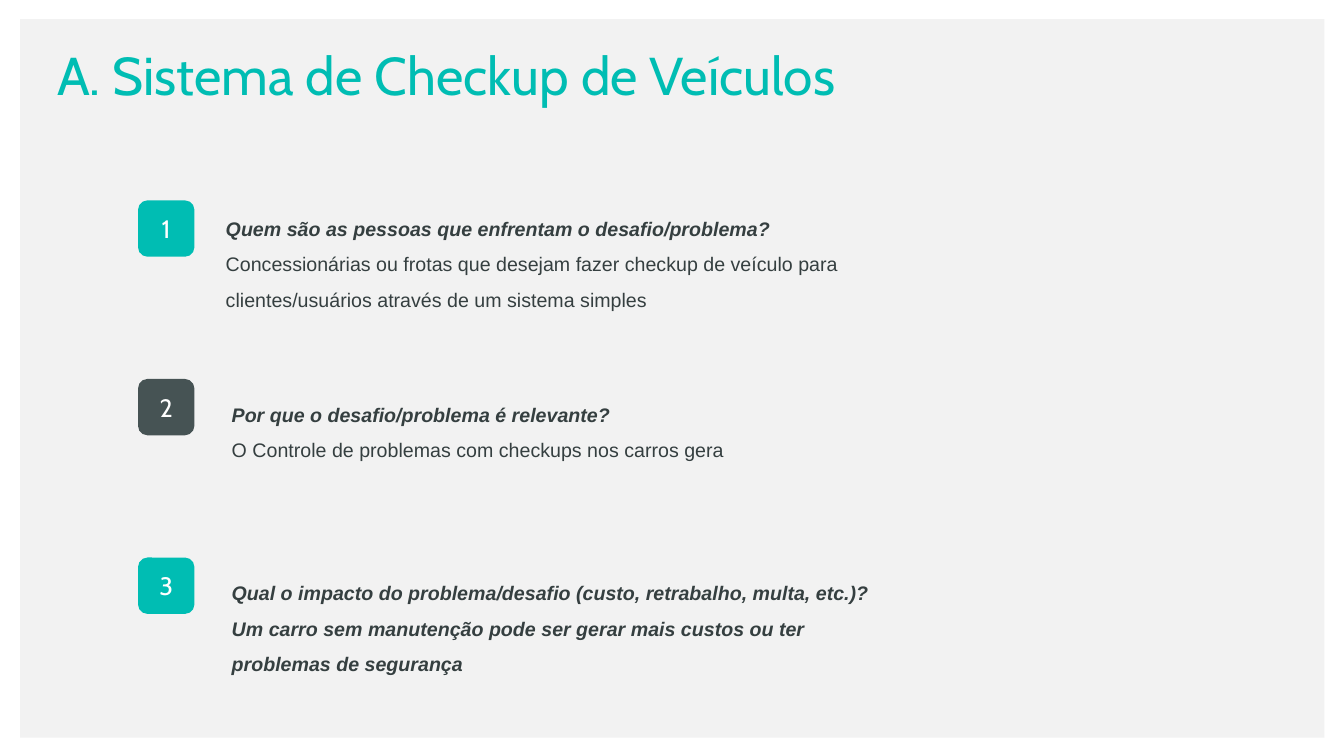
from dataclasses import dataclass

from pptx import Presentation
from pptx.dml.color import RGBColor
from pptx.enum.shapes import MSO_SHAPE as Preset
from pptx.enum.text import MSO_ANCHOR as Anchor, PP_ALIGN as Align
from pptx.util import Cm, Pt


@dataclass(frozen=True)
class Theme:
    """Colours, fonts and type sizes of the slide."""

    panel: RGBColor = RGBColor(0xF2, 0xF2, 0xF2)
    teal: RGBColor = RGBColor(0x00, 0xBD, 0xB3)
    slate: RGBColor = RGBColor(0x46, 0x53, 0x54)
    body: RGBColor = RGBColor(0x35, 0x3F, 0x40)
    white: RGBColor = RGBColor(0xFF, 0xFF, 0xFF)
    display_font: str = "Cabin"
    body_font: str = "Arial"
    title_size: Pt = Pt(38)
    badge_size: Pt = Pt(18)
    body_size: Pt = Pt(14)


THEME = Theme()
TITLE_FORMAT = {"name": THEME.display_font, "size": THEME.title_size}
BADGE_FORMAT = {"name": THEME.display_font, "size": THEME.badge_size}
ANSWER_FORMAT = {"name": THEME.body_font, "size": THEME.body_size}
STRONG_FORMAT = {**ANSWER_FORMAT, "bold": True, "italic": True}

FIRST_ROW, ROW_STEP = 5.05, 4.5
BADGE_LEFT, BADGE_SIDE = 3.48, 1.42
ANSWER_WIDTH = 16.92

QUESTIONS = [
    {
        "question": "Quem são as pessoas que enfrentam o desafio/problema?",
        "answer": "Concessionárias ou frotas que desejam fazer checkup de veículo "
                  "para clientes/usuários através de um sistema simples",
        "answer_format": ANSWER_FORMAT,
        "badge_color": THEME.teal,
        "left": 5.44, "drop": 0, "height": 2.84,
    },
    {
        "question": "Por que o desafio/problema é relevante?",
        "answer": "O Controle de problemas com checkups nos carros gera",
        "answer_format": ANSWER_FORMAT,
        "badge_color": THEME.slate,
        "left": 5.59, "drop": 0.18, "height": 1.93,
    },
    {
        "question": "Qual o impacto do problema/desafio "
                    "(custo, retrabalho, multa, etc.)?",
        "answer": "Um carro sem manutenção pode ser gerar mais custos ou ter "
                  "problemas de segurança",
        "answer_format": STRONG_FORMAT,
        "badge_color": THEME.teal,
        "left": 5.59, "drop": 0.18, "height": 2.84,
    },
]


def write_run(paragraph, text, color, font_format):
    """Add a run with the given colour and font attributes."""
    run = paragraph.add_run()
    run.text = text
    run.font.color.rgb = color
    for attribute, value in font_format.items():
        setattr(run.font, attribute, value)


def add_filled_shape(slide, preset, box, color):
    """Add a flat preset shape without outline."""
    shape = slide.shapes.add_shape(preset, *map(Cm, box))
    shape.shadow.inherit = False
    shape.fill.solid()
    shape.fill.fore_color.rgb = color
    shape.line.fill.background()
    return shape


def add_text_frame(slide, box):
    """Add a wrapping text box and return its text frame."""
    frame = slide.shapes.add_textbox(*map(Cm, box)).text_frame
    frame.word_wrap = True
    return frame


def add_title(slide, text):
    """Add the slide heading."""
    frame = add_text_frame(slide, (1.19, 0.94, 24.03, 1.88))
    write_run(frame.paragraphs[0], text, THEME.teal, TITLE_FORMAT)


def add_badge(slide, number, top, color):
    """Add a rounded square holding the question number."""
    box = (BADGE_LEFT, top, BADGE_SIDE, BADGE_SIDE)
    badge = add_filled_shape(slide, Preset.ROUNDED_RECTANGLE, box, color)
    badge.text_frame.vertical_anchor = Anchor.MIDDLE
    paragraph = badge.text_frame.paragraphs[0]
    paragraph.alignment = Align.CENTER
    write_run(paragraph, str(number), THEME.white, BADGE_FORMAT)


def add_question(slide, number, item):
    """Add a numbered question with its answer."""
    top = FIRST_ROW + (number - 1) * ROW_STEP
    add_badge(slide, number, top, item["badge_color"])
    box = (item["left"], top + item["drop"], ANSWER_WIDTH, item["height"])
    frame = add_text_frame(slide, box)
    paragraphs = (frame.paragraphs[0], frame.add_paragraph())
    texts = (item["question"], item["answer"])
    formats = (STRONG_FORMAT, item["answer_format"])
    for paragraph, text, font_format in zip(paragraphs, texts, formats):
        paragraph.line_spacing = 1.5
        write_run(paragraph, text, THEME.body, font_format)


def main():
    """Build and save the presentation."""
    presentation = Presentation()
    presentation.slide_width = Cm(33.87)
    presentation.slide_height = Cm(19.05)
    slide = presentation.slides.add_slide(presentation.slide_layouts[6])
    panel_box = (0.51, 0.48, 32.87, 18.11)
    add_filled_shape(slide, Preset.RECTANGLE, panel_box, THEME.panel)
    add_title(slide, "A. Sistema de Checkup de Veículos")
    for number, item in enumerate(QUESTIONS, start=1):
        add_question(slide, number, item)
    presentation.save("out.pptx")


if __name__ == "__main__":
    main()
